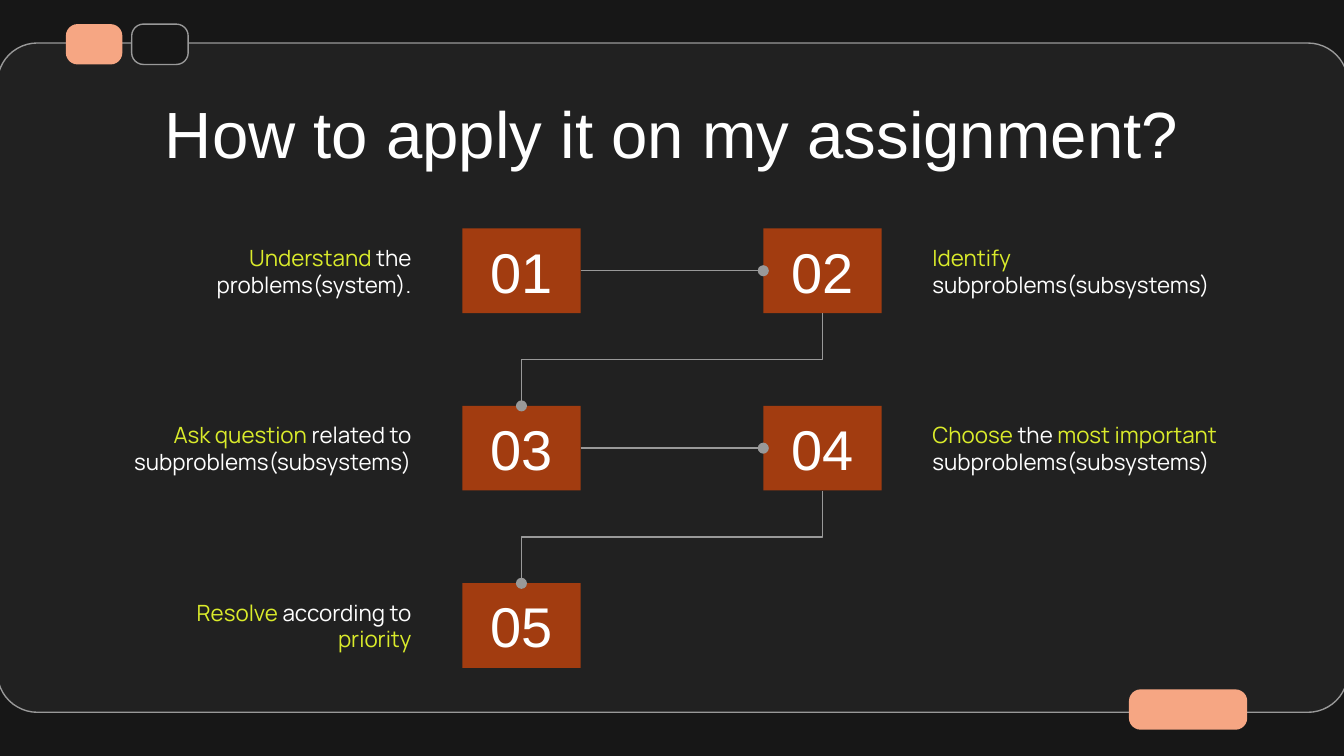
"""Build a slide of five numbered steps linked in a zigzag."""
from lxml.etree import SubElement
from pptx import Presentation
from pptx.dml.color import RGBColor
from pptx.enum.shapes import MSO_CONNECTOR as CONN, MSO_SHAPE as SHAPE
from pptx.enum.text import MSO_ANCHOR as ANCHOR, PP_ALIGN as ALIGN
from pptx.oxml.ns import qn
from pptx.util import Inches, Pt

BACK = RGBColor(0x17, 0x17, 0x17)
PANEL = RGBColor(0x21, 0x21, 0x21)
GREY = RGBColor(0x99, 0x99, 0x99)
PEACH = RGBColor(0xF6, 0xA6, 0x83)
RUST = RGBColor(0xA2, 0x3C, 0x10)
WHITE = RGBColor(0xFF, 0xFF, 0xFF)
LIME = RGBColor(0xDA, 0xEB, 0x2B)

TITLE = "How to apply it on my assignment?"
STEPS = [
    (2.12, [("Understand", LIME), (" the problems(system).", WHITE)]),
    (2.47, [("Identify", LIME), (" subproblems(subsystems)", WHITE)]),
    (2.46, [("Ask question ", LIME), ("related to subproblems(subsystems)", WHITE)]),
    (2.47, [("Choose", LIME), (" the ", WHITE), ("most important ", LIME),
            ("subproblems(subsystems)", WHITE)]),
    (2.12, [("Resolve", LIME), (" according to ", WHITE), ("priority", LIME)]),
]
FRAME = [
    ((-0.02, 0.32, 10.05, 4.98), 0.06, PANEL, GREY),
    ((8.4, 5.13, 0.88, 0.3), 0.29, PEACH, None),
    ((0.49, 0.18, 0.42, 0.3), 0.29, PEACH, None),
    ((0.98, 0.18, 0.42, 0.3), 0.29, BACK, GREY),
]
SLIDE_W = 10
SLIDE_H = SLIDE_W * 9 / 16
BOX_W, BOX_H = 0.88, 0.63
COLUMNS = (3.44, 5.68)
TOP, ROW_STEP = 1.7, 1.32
LABEL_GAP = 0.28


def add_block(s, shape, box, fill, line=None):
    sp = s.shapes.add_shape(shape, *map(Inches, box))
    sp.shadow.inherit = False
    sp.fill.solid()
    sp.fill.fore_color.rgb = fill
    if line is None:
        sp.line.fill.background()
    else:
        sp.line.color.rgb = line
        sp.line.width = Pt(0.75)
    return sp


def set_text(sp, runs, size, font, align, anchor=ANCHOR.MIDDLE):
    tf = sp.text_frame
    margins = dict.fromkeys(
        ("margin_left", "margin_top", "margin_right", "margin_bottom"), Inches(0.1))
    for name, value in {"word_wrap": True, "vertical_anchor": anchor, **margins}.items():
        setattr(tf, name, value)
    p = tf.paragraphs[0]
    p.alignment = align
    for text, color in runs:
        r = p.add_run()
        r.text = text
        for name, value in {"size": Pt(size), "name": font}.items():
            setattr(r.font, name, value)
        r.font.color.rgb = color


def add_text(s, box, *text_format):
    set_text(s.shapes.add_textbox(*map(Inches, box)), *text_format)


def add_link(s, start, end, downward):
    (x1, y1), (x2, y2) = start, end
    if downward:
        cx, cy = (x1 + x2) / 2, (y1 + y2) / 2
        half_w, half_h = abs(y2 - y1) / 2, abs(x2 - x1) / 2
        x1, y1, x2, y2 = cx - half_w, cy - half_h, cx + half_w, cy + half_h
    link = s.shapes.add_connector(CONN.ELBOW, *map(Inches, (x1, y1, x2, y2)))
    link.line.color.rgb = GREY
    link.line.width = Pt(0.75)
    sp_pr = link._element.spPr
    if downward:
        sp_pr.find(qn("a:xfrm")).set("rot", str(90 * 60000))
    SubElement(sp_pr.find(qn("a:ln")), qn("a:tailEnd"), type="oval")
    SubElement(sp_pr, qn("a:effectLst"))


def main():
    prs = Presentation()
    prs.slide_width, prs.slide_height = Inches(SLIDE_W), Inches(SLIDE_H)
    s = prs.slides.add_slide(prs.slide_layouts[6])
    s.background.fill.solid()
    s.background.fill.fore_color.rgb = BACK

    for box, radius, fill, line in FRAME:
        add_block(s, SHAPE.ROUNDED_RECTANGLE, box, fill, line).adjustments[0] = radius
    add_text(s, (0.78, 0.59, 8.44, 0.63), [(TITLE, WHITE)], 35, "Arial",
             ALIGN.CENTER, ANCHOR.TOP)

    spots = [(COLUMNS[i % 2], TOP + i // 2 * ROW_STEP) for i in range(len(STEPS))]
    for i, ((x, y), (width, runs)) in enumerate(zip(spots, STEPS)):
        sp = add_block(s, SHAPE.RECTANGLE, (x, y, BOX_W, BOX_H), RUST)
        set_text(sp, [(f"{i + 1:02}", WHITE)], 30, "Arial", ALIGN.CENTER)
        on_left = i % 2 == 0
        left = x - LABEL_GAP - width if on_left else x + BOX_W + LABEL_GAP
        add_text(s, (left, y, width, BOX_H), runs, 12, "Manrope",
                 ALIGN.RIGHT if on_left else ALIGN.LEFT)

    for i, ((x1, y1), (x2, y2)) in enumerate(zip(spots, spots[1:])):
        if i % 2:
            start, end = (x1 + BOX_W / 2, y1 + BOX_H), (x2 + BOX_W / 2, y2)
        else:
            start, end = (x1 + BOX_W, y1 + BOX_H / 2), (x2, y2 + BOX_H / 2)
        add_link(s, start, end, downward=i % 2 == 1)

    prs.save("out.pptx")


if __name__ == "__main__":
    main()
